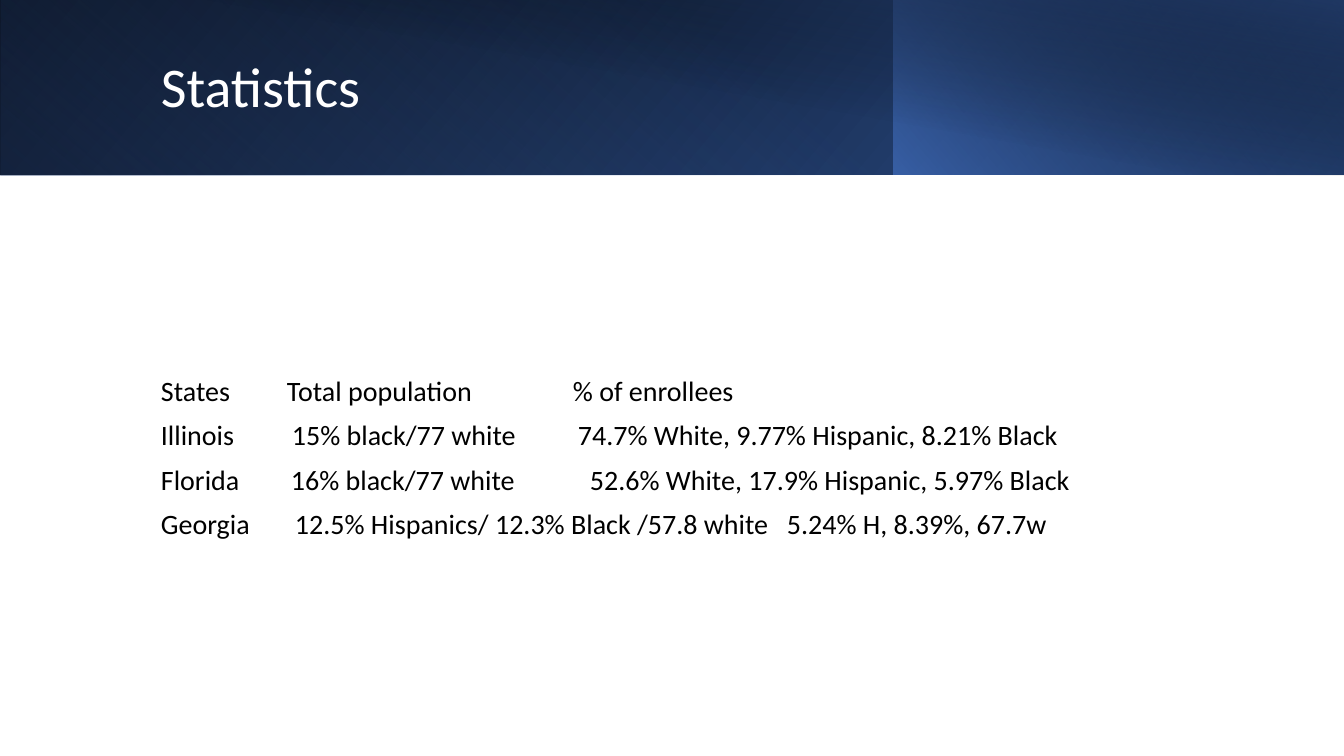
from lxml.etree import SubElement
from pptx import Presentation
from pptx.dml.color import RGBColor
from pptx.enum.shapes import MSO_SHAPE
from pptx.enum.text import MSO_ANCHOR
from pptx.oxml.ns import qn
from pptx.util import Pt

HUES = {"black": "000000", "white": "FFFFFF", "deep": "203864",
        "navy": "2F5597", "blue": "4472C4"}

BANDS = [
    ((0, 0, 1344, 175), 0, True, 140, [(0, "black", 100), (100, "navy", 100)]),
    ((0, 0, 895, 175), 180, True, 230, [(20, "blue", 0), (100, "deep", 55)]),
    ((894, 0, 450, 175), 0, True, 220, [(0, "blue", 66), (100, "black", 30)]),
    ((50, 0, 1294, 176), 0, False, 280, [(50, "black", 0), (99, "deep", 52)]),
]

TITLE = [(("Statistics",), ())]
ROWS = [
    (("States", "Total population", "% of enrollees"), (126, 412)),
    (("Illinois", "15% black/77 white",
      "74.7% White, 9.77% Hispanic, 8.21% Black"), (131, 417)),
    (("Florida", "16% black/77 white",
      "52.6% White, 17.9% Hispanic, 5.97% Black"), (130, 429)),
    (("Georgia", "12.5% Hispanics/ 12.3% Black /57.8 white",
      "5.24% H, 8.39%, 67.7w"), (134, 626)),
]
TEXTS = [
    ((151, 32, 1091, 114), TITLE, "white", 40),
    ((151, 256, 1072, 406), ROWS, "black", 20),
]


def px(num):
    return round(num * 914400 / 100.8)


def tint(name):
    return RGBColor.from_string(HUES[name])


def band(slide, box, turn, flip, angle, stops):
    shape = slide.shapes.add_shape(MSO_SHAPE.RECTANGLE, *map(px, box))
    shape.shadow.inherit = False
    shape.line.fill.background()
    shape.rotation = turn
    props = shape._element.spPr
    if flip:
        props.find(qn("a:xfrm")).set("flipH", "1")
    shape.fill.gradient()
    shape.fill.gradient_angle = 360 - angle
    for stop, (place, name, alpha) in zip(shape.fill.gradient_stops, stops):
        stop.position = place / 100
        stop.color.rgb = tint(name)
    for node, (place, name, alpha) in zip(props.iter(qn("a:srgbClr")), stops):
        if alpha < 100:
            SubElement(node, qn("a:alpha")).set("val", str(alpha * 1000))


def write(slide, box, rows, hue, size):
    frame = slide.shapes.add_textbox(*map(px, box)).text_frame
    frame.word_wrap = True
    frame.vertical_anchor = MSO_ANCHOR.MIDDLE
    for i, (cells, tabs) in enumerate(rows):
        para = frame.add_paragraph() if i else frame.paragraphs[0]
        para.line_spacing = 0.9
        para.space_before = Pt(10 if i else 0)
        if tabs:
            group = SubElement(para._p.get_or_add_pPr(), qn("a:tabLst"))
            for tab in tabs:
                node = SubElement(group, qn("a:tab"))
                node.set("pos", str(px(tab)))
                node.set("algn", "l")
        run = para.add_run()
        run.text = "\t".join(cells)
        for key, value in {"name": "Calibri", "size": Pt(size)}.items():
            setattr(run.font, key, value)
        run.font.color.rgb = tint(hue)


def main():
    deck = Presentation()
    deck.slide_width, deck.slide_height = px(1344), px(756)
    slide = deck.slides.add_slide(deck.slide_layouts[6])
    for item in BANDS:
        band(slide, *item)
    for item in TEXTS:
        write(slide, *item)
    deck.save("out.pptx")


if __name__ == "__main__":
    main()
